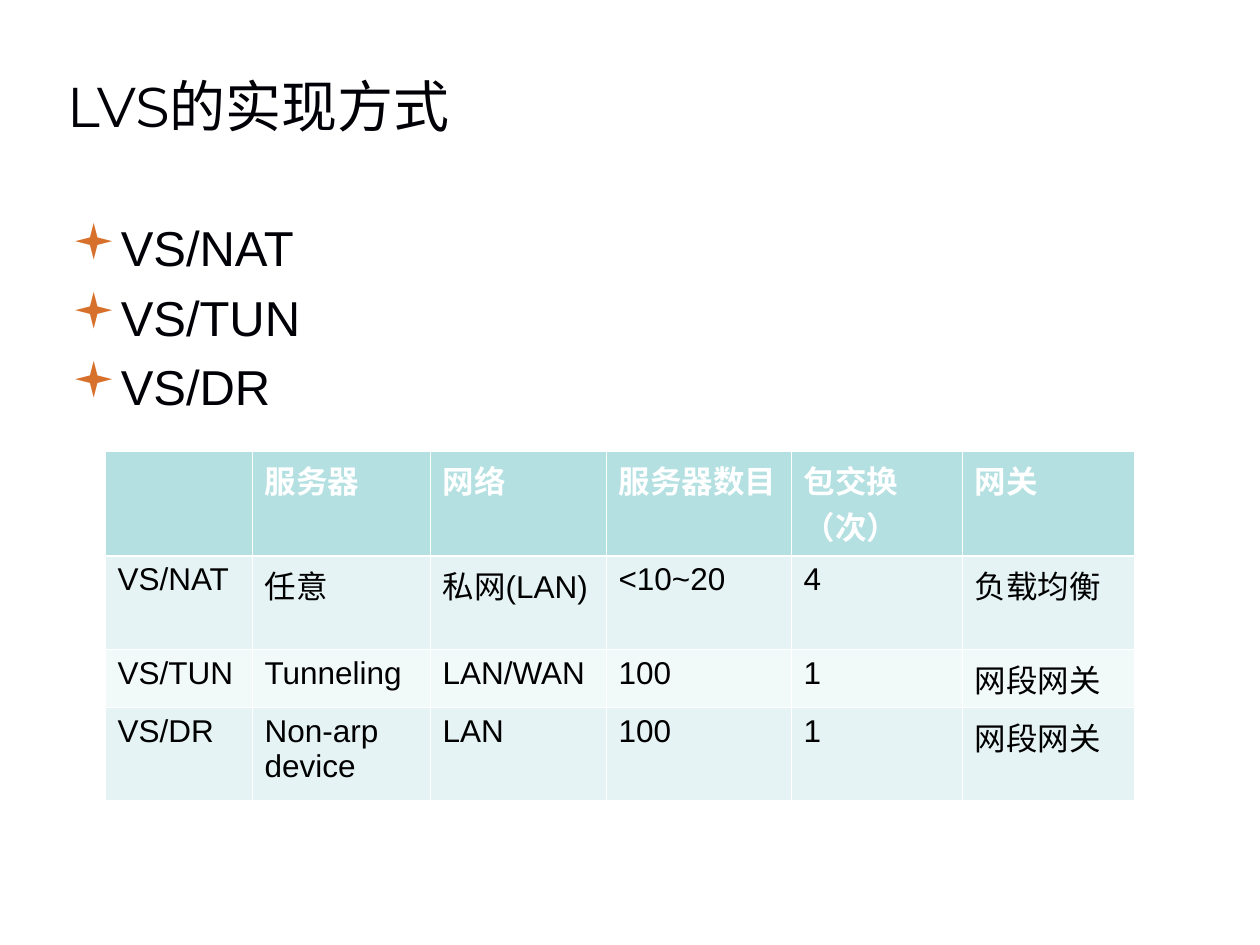
"""Builds the LVS slide: a title, a bulleted list and a comparison table."""
from dataclasses import dataclass

from lxml import etree
from pptx import Presentation
from pptx import util as u
from pptx.dml.color import RGBColor
from pptx.enum import text
from pptx.oxml import ns

PX = 914400 / 126


def px(n):
    return u.Emu(round(n * PX))


@dataclass(frozen=True)
class Theme:
    title_font: str = "Montserrat"
    body_font: str = "Arial"
    ink: str = "000006"
    cell_ink: str = "000000"
    bullet: str = "D7702B"
    white: str = "FFFFFF"
    header: str = "B4E0E1"
    bands: tuple = ("E5F3F4", "F2F9F9")
    title_size: int = 32
    body_size: int = 28
    cell_size: int = 18
    thin: float = 0.45
    thick: float = 1.47


class Deck:
    def __init__(self, theme, width, height):
        self.theme = theme
        self.prs = Presentation()
        self.prs.slide_width, self.prs.slide_height = px(width), px(height)

    def add_slide(self):
        self.s = self.prs.slides.add_slide(self.prs.slide_layouts[1])

    def run(self, p, words, size, color, font, bold=False):
        r = p.add_run()
        r.text = words
        r.font.size, r.font.name, r.font.bold = u.Pt(size), font, bold
        r.font.color.rgb = RGBColor.from_string(color)

    def place(self, sp, box, anchor, right_inset):
        sp.left, sp.top, sp.width, sp.height = map(px, box)
        tf = sp.text_frame
        tf.word_wrap, tf.auto_size = True, text.MSO_AUTO_SIZE.NONE
        tf.vertical_anchor = anchor
        tf.margin_left = tf.margin_top = tf.margin_bottom = px(8)
        tf.margin_right = px(right_inset)
        return tf

    def title(self, words, box):
        t = self.theme
        tf = self.place(self.s.shapes.title, box, text.MSO_ANCHOR.BOTTOM, 13)
        p = tf.paragraphs[0]
        p.alignment = text.PP_ALIGN.LEFT
        self.run(p, words, t.title_size, t.ink, t.title_font)

    def bullets(self, items, box):
        t = self.theme
        tf = self.place(self.s.placeholders[1], box, text.MSO_ANCHOR.TOP, 20)
        for i, item in enumerate(items):
            p = tf.add_paragraph() if i else tf.paragraphs[0]
            p.space_before = u.Pt(6)
            pPr = p._p.get_or_add_pPr()
            pPr.set("marL", str(px(53)))
            pPr.set("indent", str(px(-48)))
            color = etree.SubElement(pPr, ns.qn("a:buClr"))
            etree.SubElement(color, ns.qn("a:srgbClr"), val=t.bullet)
            etree.SubElement(pPr, ns.qn("a:buFont"), typeface="Wingdings")
            etree.SubElement(pPr, ns.qn("a:buChar"), char="▪")
            self.run(p, item, t.body_size, t.ink, t.body_font)

    def borders(self, cell, row):
        t = self.theme
        widths = {"L": t.thin, "R": t.thin,
                  "T": t.thick if row == 1 else t.thin,
                  "B": t.thick if row == 0 else t.thin}
        tcPr = cell._tc.get_or_add_tcPr()
        for side, width in widths.items():
            ln = etree.SubElement(tcPr, ns.qn(f"a:ln{side}"), w=str(u.Pt(width)))
            fill = etree.SubElement(ln, ns.qn("a:solidFill"))
            etree.SubElement(fill, ns.qn("a:srgbClr"), val=t.white)

    def table(self, rows, left, top, widths, heights):
        t = self.theme
        frame = self.s.shapes.add_table(
            len(rows), len(widths), px(left), px(top),
            px(sum(widths)), px(sum(heights)))
        table = frame.table
        for col, width in zip(table.columns, widths):
            col.width = px(width)
        for i, (row, height) in enumerate(zip(rows, heights)):
            table.rows[i].height = px(height)
            head = i == 0
            for j, words in enumerate(row):
                cell = table.cell(i, j)
                self.borders(cell, i)
                cell.fill.solid()
                cell.fill.fore_color.rgb = RGBColor.from_string(
                    t.header if head else t.bands[(i - 1) % 2])
                if words:
                    self.run(cell.text_frame.paragraphs[0], words, t.cell_size,
                             t.white if head else t.cell_ink, t.body_font, head)


def main():
    deck = Deck(Theme(), 1260, 945)
    deck.add_slide()
    modes = ["VS/NAT", "VS/TUN", "VS/DR"]
    details = [
        ["任意", "私网(LAN)", "<10~20", "4", "负载均衡"],
        ["Tunneling", "LAN/WAN", "100", "1", "网段网关"],
        ["Non-arp device", "LAN", "100", "1", "网段网关"],
    ]
    header = ["", "服务器", "网络", "服务器数目", "包交换（次）", "网关"]
    deck.title("LVS的实现方式", (59, 0, 1130, 147))
    deck.bullets(modes, (59, 210, 1130, 599))
    deck.table([header] + [[m] + d for m, d in zip(modes, details)],
               105, 451, [147, 178, 176, 185, 171, 172], [105, 93, 58, 93])
    deck.prs.save("out.pptx")


if __name__ == "__main__":
    main()
